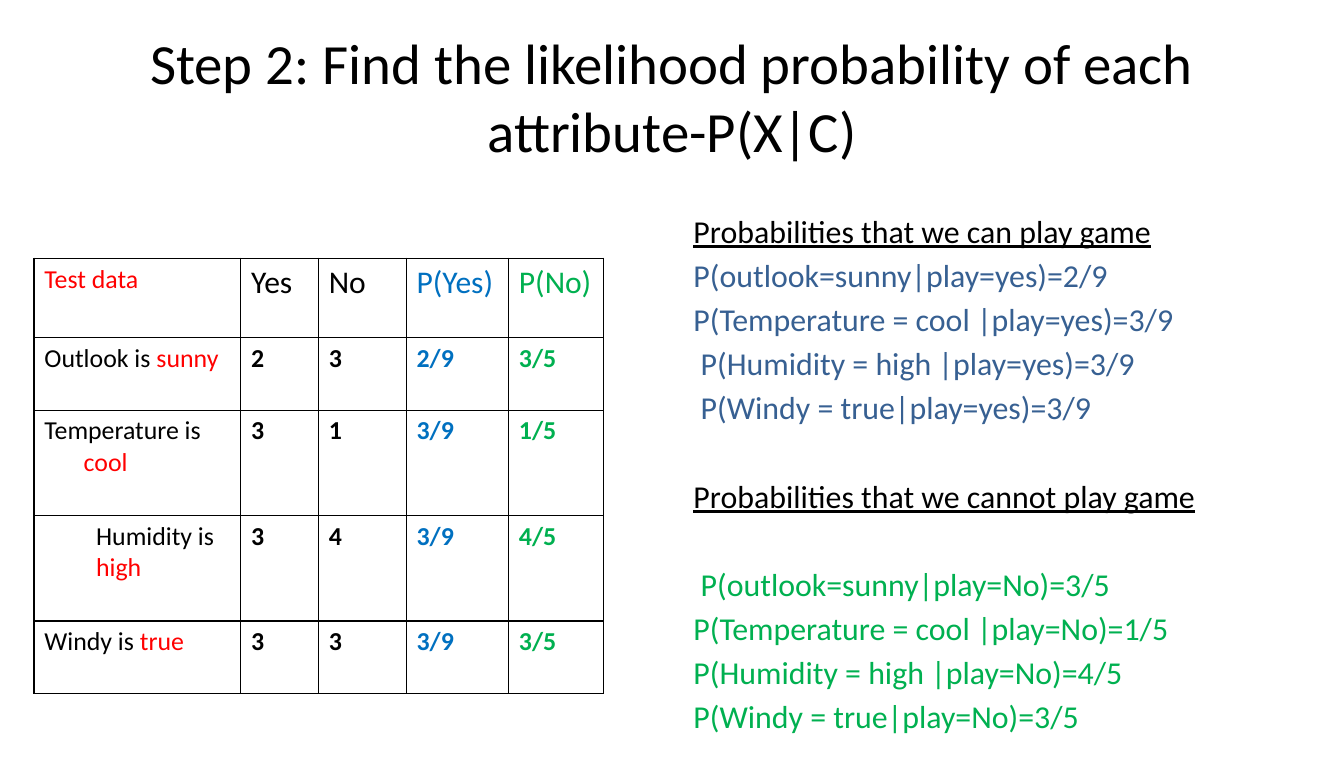
from lxml import etree
from pptx import Presentation
from pptx.dml.color import RGBColor
from pptx.enum import text
from pptx.oxml import ns
from pptx.util import Inches, Pt

COLORS = {
    "black": "000000",
    "red": "FF0000",
    "blue": "0070C0",
    "steel": "376092",
    "green": "00B050",
}
HANG = (0.38, -0.38)
NUDGED = (0.38, -0.31)
FLUSH = (0, 0)
SET_IN = (0.5, 0)


class SlideBuilder:
    """Holds the style and the current slide."""

    font_name = "Calibri"

    def __init__(self, presentation):
        self.slide = presentation.slides.add_slide(presentation.slide_layouts[5])

    def place(self, shape, box):
        for name, value in zip(("left", "top", "width", "height"), box):
            setattr(shape, name, Inches(value))

    def add_runs(self, paragraph, runs, indent=None, **font_format):
        """Add (text, colour) runs to one paragraph."""
        if indent:
            properties = paragraph._p.get_or_add_pPr()
            for name, value in zip(("marL", "indent"), indent):
                properties.set(name, str(Inches(value)))
        for content, color in runs:
            run = paragraph.add_run()
            run.text = content
            for name, value in {"name": self.font_name, **font_format}.items():
                setattr(run.font, name, value)
            run.font.color.rgb = RGBColor.from_string(COLORS[color])

    def title(self, content, box):
        shape = self.slide.shapes.title
        self.place(shape, box)
        frame = shape.text_frame
        frame.auto_size = text.MSO_AUTO_SIZE.NONE
        frame.vertical_anchor = text.MSO_ANCHOR.MIDDLE
        paragraph = frame.paragraphs[0]
        paragraph.alignment = text.PP_ALIGN.CENTER
        self.add_runs(paragraph, [(content, "black")], size=Pt(39.6))

    def text_lines(self, lines, box):
        """Each line is (text, colour, indent, space before, underline)."""
        frame = self.slide.shapes.add_textbox(*map(Inches, box)).text_frame
        frame.word_wrap = True
        for index, (content, color, indent, space, underline) in enumerate(lines):
            paragraph = frame.add_paragraph() if index else frame.paragraphs[0]
            paragraph.space_before = Pt(space)
            self.add_runs(paragraph, [(content, color)], indent,
                          size=Pt(22.2), underline=underline)

    def border(self, cell):
        properties = cell._tc.get_or_add_tcPr()
        for index, side in enumerate(("lnL", "lnR", "lnT", "lnB")):
            line = etree.Element(ns.qn(f"a:{side}"), w=str(Pt(1)))
            fill = etree.SubElement(line, ns.qn("a:solidFill"))
            etree.SubElement(fill, ns.qn("a:srgbClr"), val=COLORS["black"])
            properties.insert(index, line)

    def table(self, rows, widths, heights, left, top):
        """Each row is (label runs, label indent, values)."""
        table = self.slide.shapes.add_table(
            len(rows), len(widths), Inches(left), Inches(top),
            Inches(sum(widths)), Inches(sum(heights))).table
        table.first_row = table.horz_banding = False
        for column, width in zip(table.columns, widths):
            column.width = Inches(width)
        for row, height in zip(table.rows, heights):
            row.height = Inches(height)
        value_colors = ("black", "black", "blue", "green")
        for row_index, (label, indent, values) in enumerate(rows):
            cells = list(table.rows[row_index].cells)
            for cell in cells:
                cell.fill.background()
                self.border(cell)
            self.add_runs(cells[0].text_frame.paragraphs[0], label, indent, size=Pt(18))
            size = Pt(18) if row_index else Pt(22)
            for cell, value, color in zip(cells[1:], values, value_colors):
                self.add_runs(cell.text_frame.paragraphs[0], [(value, color)],
                              size=size, bold=row_index > 0)


def main():
    presentation = Presentation()
    presentation.slide_width = Inches(13)
    presentation.slide_height = Inches(7.5)
    builder = SlideBuilder(presentation)

    # Title
    builder.title("Step 2: Find the likelihood probability of each attribute-P(X|C)",
                  (0.65, 0.3, 11.7, 1.25))

    # Probabilities for both outcomes
    near, far = 4, 35
    builder.text_lines([
        ("Probabilities that we can play game", "black", HANG, 0, True),
        ("P(outlook=sunny|play=yes)=2/9", "steel", HANG, near, False),
        ("P(Temperature = cool |play=yes)=3/9", "steel", HANG, near, False),
        ("P(Humidity = high |play=yes)=3/9", "steel", NUDGED, near, False),
        ("P(Windy = true|play=yes)=3/9", "steel", NUDGED, near, False),
        ("Probabilities that we cannot play game", "black", HANG, far, True),
        ("P(outlook=sunny|play=No)=3/5", "green", NUDGED, far, False),
        ("P(Temperature = cool |play=No)=1/5", "green", HANG, near, False),
        ("P(Humidity = high |play=No)=4/5", "green", HANG, near, False),
        ("P(Windy = true|play=No)=3/5", "green", HANG, near, False),
    ], (6.61, 2, 5.74, 4.92))

    # Table of counts and likelihoods
    builder.table([
        ([("Test data", "red")], HANG, ("Yes", "No", "P(Yes)", "P(No)")),
        ([("Outlook is ", "black"), ("sunny", "red")], FLUSH, ("2", "3", "2/9", "3/5")),
        ([("Temperature is ", "black"), ("cool", "red")], HANG, ("3", "1", "3/9", "1/5")),
        ([("Humidity is ", "black"), ("high", "red")], SET_IN, ("3", "4", "3/9", "4/5")),
        ([("Windy is ", "black"), ("true", "red")], HANG, ("3", "3", "3/9", "3/5")),
    ], widths=(2, 0.75, 0.85, 0.99, 0.92), heights=(0.77, 0.7, 1.02, 1.02, 0.7),
        left=0.33, top=2.5)

    presentation.save("out.pptx")


if __name__ == "__main__":
    main()
